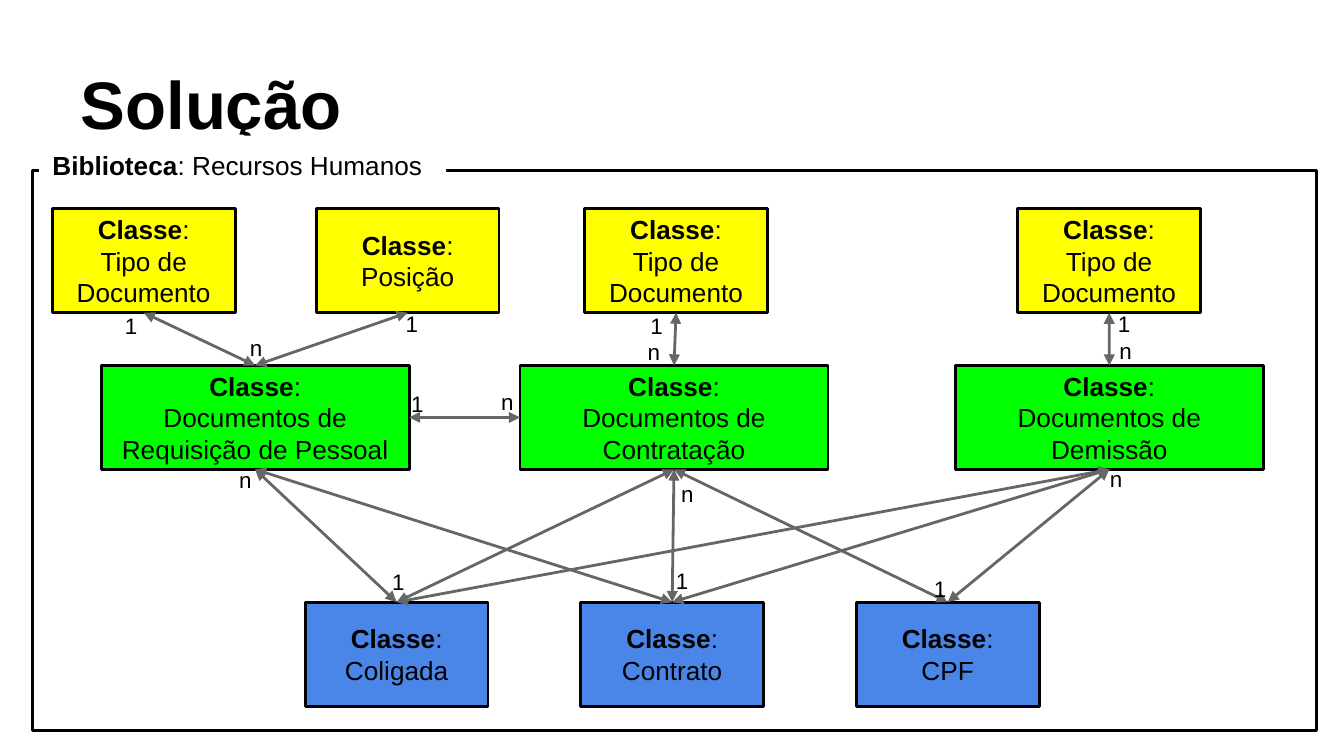
from pptx import Presentation
from pptx.dml.color import RGBColor
from pptx.enum.shapes import MSO_CONNECTOR, MSO_SHAPE
from pptx.enum.text import MSO_ANCHOR, MSO_AUTO_SIZE, PP_ALIGN
from pptx.oxml.ns import qn
from pptx.util import Pt
from lxml.etree import SubElement

BLACK = RGBColor(0x00, 0x00, 0x00)
WHITE = RGBColor(0xFF, 0xFF, 0xFF)
YELLOW = RGBColor(0xFF, 0xFF, 0x00)
GREEN = RGBColor(0x00, 0xFF, 0x00)
BLUE = RGBColor(0x4A, 0x86, 0xE8)
GRAY = RGBColor(0x66, 0x66, 0x66)

LINE_WIDTH = 1.5
BOX_HEIGHT = 55.7
TOP, LEFT, BOTTOM, RIGHT = range(4)  # connection sites of a rectangle

# key: (name, left, top, width, fill)
CLASSES = {
    "coligada": ("Coligada", 163.5, 322.6, 98, BLUE),
    "contrato": ("Contrato", 311.1, 322.6, 98, BLUE),
    "cpf": ("CPF", 458.7, 322.6, 98, BLUE),
    "tipo requisição": ("Tipo de Documento", 28, 111.8, 98, YELLOW),
    "posição": ("Posição", 169.4, 111.8, 98, YELLOW),
    "tipo contratação": ("Tipo de Documento", 313.2, 111.8, 98, YELLOW),
    "tipo demissão": ("Tipo de Documento", 545.2, 111.8, 98, YELLOW),
    "requisição": ("Documentos de Requisição de Pessoal", 54.2, 195.8, 165, GREEN),
    "contratação": ("Documentos de Contratação", 278.6, 195.8, 165, GREEN),
    "demissão": ("Documentos de Demissão", 511.8, 195.8, 165, GREEN),
}

# upper class, lower class
VERTICAL_RELATIONS = [
    ("tipo requisição", "requisição"),
    ("tipo demissão", "demissão"),
    ("tipo contratação", "contratação"),
    ("posição", "requisição"),
    ("requisição", "coligada"),
    ("requisição", "contrato"),
    ("contratação", "cpf"),
    ("demissão", "coligada"),
    ("demissão", "contrato"),
    ("demissão", "cpf"),
    ("contratação", "coligada"),
    ("contratação", "contrato"),
]

CARDINALITIES = {
    "1": [(59.8, 159.8), (210.2, 159.1), (341.3, 159.8), (591.8, 159.1),
          (213.1, 201.6), (203, 297.4), (355, 296.6), (493.2, 301)],
    "n": [(126.7, 172.1), (339.8, 174.2), (592.6, 173.5), (261.4, 200.9),
          (121, 242.6), (357.8, 249.8), (587.5, 241.9)],
}


def write_text(shape, paragraphs, size=14, align=PP_ALIGN.LEFT, anchor=MSO_ANCHOR.TOP):
    """Fill a shape with paragraphs, each a list of (text, bold) spans."""
    frame = shape.text_frame
    frame.word_wrap = True
    frame.auto_size = MSO_AUTO_SIZE.NONE
    frame.vertical_anchor = anchor
    frame.margin_left = frame.margin_right = Pt(7.2)
    frame.margin_top = frame.margin_bottom = Pt(7.2)
    for index, spans in enumerate(paragraphs):
        paragraph = frame.add_paragraph() if index else frame.paragraphs[0]
        paragraph.alignment = align
        for text, bold in spans:
            span = paragraph.add_run()
            span.text = text
            span.font.name = "Arial"
            span.font.size = Pt(size)
            span.font.bold = bold
            span.font.color.rgb = BLACK


def add_title(page, text):
    title = page.shapes.title
    title.left, title.top, title.width, title.height = Pt(36), Pt(16.5), Pt(648), Pt(67.5)
    write_text(title, [[(text, True)]], size=36, anchor=MSO_ANCHOR.BOTTOM)


def add_rectangle(page, left, top, width, height, fill=None, line=None):
    box = page.shapes.add_shape(
        MSO_SHAPE.RECTANGLE, Pt(left), Pt(top), Pt(width), Pt(height))
    box.shadow.inherit = False
    if fill is None:
        box.fill.background()
    else:
        box.fill.solid()
        box.fill.fore_color.rgb = fill
    if line is None:
        box.line.fill.background()
    else:
        box.line.color.rgb = line
        box.line.width = Pt(LINE_WIDTH)
    return box


def add_class(page, name, left, top, width, fill):
    box = add_rectangle(page, left, top, width, BOX_HEIGHT, fill, BLACK)
    write_text(box, [[("Classe", True), (":", False)], [(name, False)]],
               align=PP_ALIGN.CENTER, anchor=MSO_ANCHOR.MIDDLE)
    return box


def add_relation(page, start, start_site, end, end_site):
    """Join two boxes with a line that has an arrowhead at each end."""
    arrow = page.shapes.add_connector(MSO_CONNECTOR.STRAIGHT, 0, 0, 0, 0)
    arrow.begin_connect(start, start_site)
    arrow.end_connect(end, end_site)
    arrow.line.color.rgb = GRAY
    arrow.line.width = Pt(LINE_WIDTH)
    line = arrow.line._get_or_add_ln()
    for tag in ("a:headEnd", "a:tailEnd"):
        SubElement(line, qn(tag), type="triangle", w="med", len="med")
    SubElement(arrow._element.spPr, qn("a:effectLst"))


def add_cardinality(page, text, left, top):
    box = page.shapes.add_textbox(Pt(left), Pt(top), Pt(25.2), Pt(36))
    write_text(box, [[(text, False)]], size=12)


def main():
    deck = Presentation()
    deck.slide_width, deck.slide_height = Pt(720), Pt(405)
    page = deck.slides.add_slide(deck.slide_layouts[5])

    add_title(page, "Solução")
    add_rectangle(page, 17.5, 91.5, 688, 300, line=BLACK)
    library = add_rectangle(page, 21, 72.7, 218, 24.5, fill=WHITE)
    write_text(library, [[("Biblioteca", True), (": Recursos Humanos", False)]])

    boxes = {key: add_class(page, *details) for key, details in CLASSES.items()}
    for upper, lower in VERTICAL_RELATIONS:
        add_relation(page, boxes[upper], BOTTOM, boxes[lower], TOP)
    add_relation(page, boxes["requisição"], RIGHT, boxes["contratação"], LEFT)

    for text, places in CARDINALITIES.items():
        for left, top in places:
            add_cardinality(page, text, left, top)

    deck.save("out.pptx")


if __name__ == "__main__":
    main()
